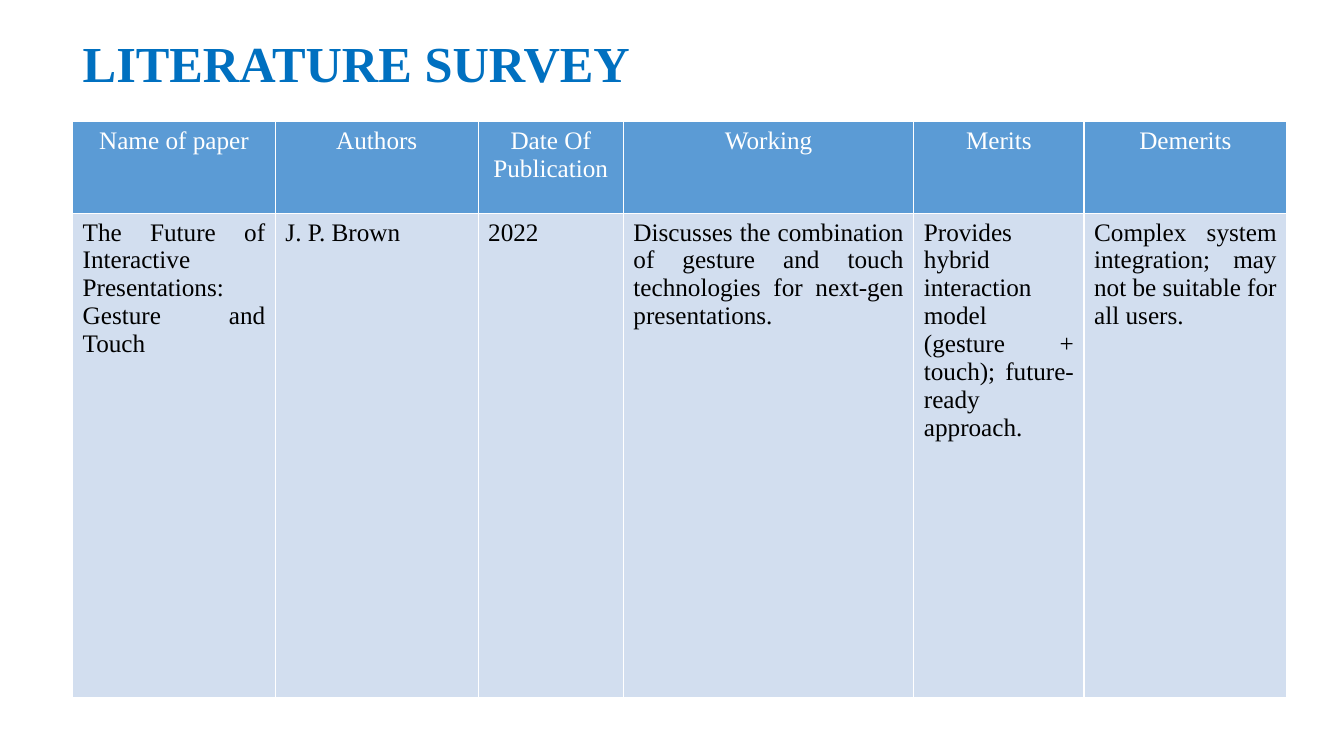
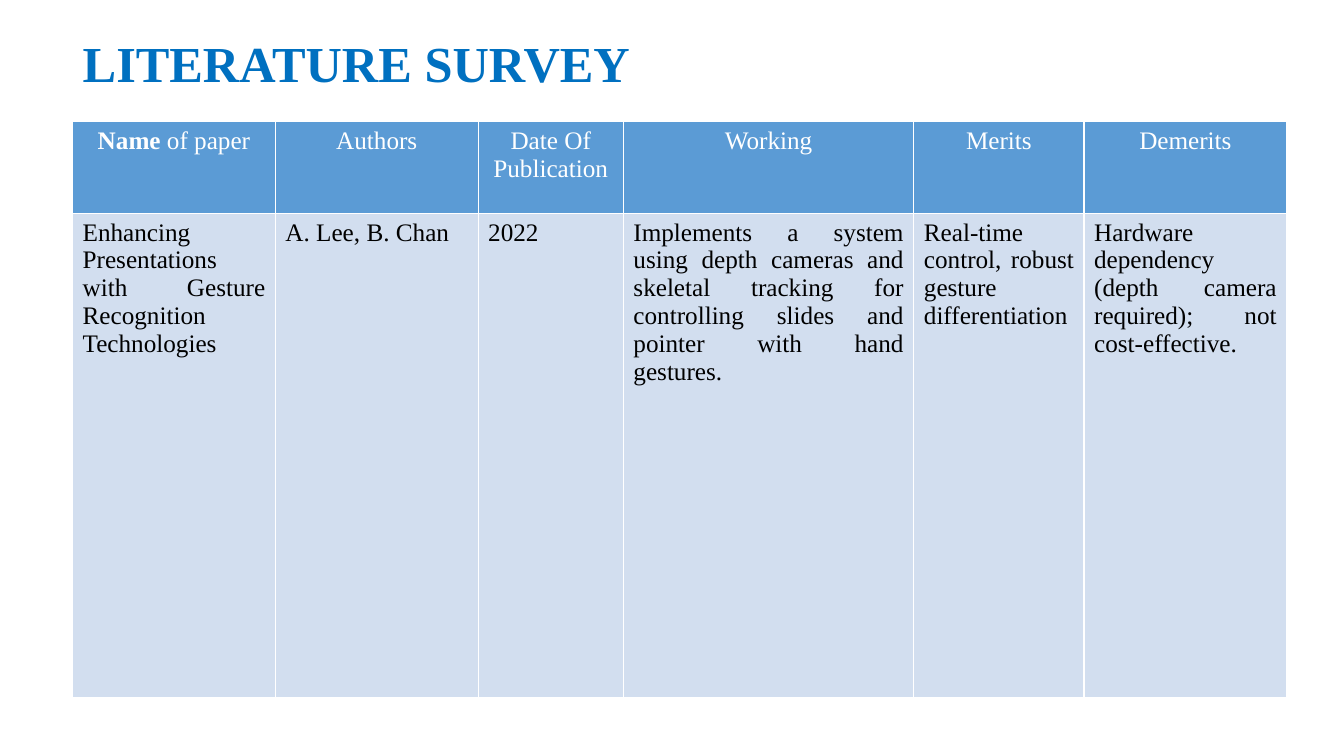
import pptx
import pptx.dml.color
import pptx.enum.text
import pptx.oxml
import pptx.oxml.ns
import pptx.util
from pptx.util import Cm

FONT = "Times New Roman"
TITLE_BLUE, HEADER_BLUE, BODY_BLUE = "0070C0", "5B9BD5", "D2DEEF"
WHITE, BLACK = "FFFFFF", "000000"
ALIGN = pptx.enum.text.PP_ALIGN

TITLE = "LITERATURE SURVEY"
HEADINGS = ["Authors", "Date Of Publication", "Working", "Merits", "Demerits"]
COLUMN_WIDTHS = [5.11, 5.11, 3.66, 7.32, 4.29, 5.11]
ROW_HEIGHTS = [2.31, 12.19]

# A cell is a string, or a list of (text, bold) spans.
SURVEYS = [
    ("Name of paper", [
        "The Future of Interactive Presentations: Gesture and Touch",
        "J. P. Brown",
        "2022",
        "Discusses the combination of gesture and touch technologies "
        "for next-gen presentations.",
        "Provides hybrid interaction model (gesture + touch); "
        "future-ready approach.",
        "Complex system integration; may not be suitable for all users.",
    ]),
    ([("Name", True), (" of paper", False)], [
        "Enhancing Presentations with Gesture Recognition Technologies",
        "A. Lee, B. Chan",
        "2022",
        "Implements a system using depth cameras and skeletal tracking "
        "for controlling slides and pointer with hand gestures.",
        "Real-time control, robust gesture differentiation",
        "Hardware dependency (depth camera required); not cost-effective.",
    ]),
]


def rgb(value):
    return pptx.dml.color.RGBColor.from_string(value)


def style_font(font, size, color, bold):
    font.name = FONT
    font.size = pptx.util.Pt(size)
    font.color.rgb = rgb(color)
    font.bold = bold


def add_title(page):
    title = page.shapes.title
    title.left, title.top = Cm(1.83), Cm(-0.18)
    title.width, title.height = Cm(29.21), Cm(3.68)
    frame = title.text_frame
    frame.text = TITLE
    frame.vertical_anchor = pptx.enum.text.MSO_ANCHOR.MIDDLE
    para = frame.paragraphs[0]
    para.alignment = ALIGN.LEFT
    para.line_spacing = 0.9
    style_font(para.runs[0].font, 36, TITLE_BLUE, True)


def add_borders(cell, color=WHITE, points=1):
    properties = cell._tc.get_or_add_tcPr()
    for side in ("lnL", "lnR", "lnT", "lnB"):
        properties.append(pptx.oxml.parse_xml(
            f'<a:{side} {pptx.oxml.ns.nsdecls("a")} w="{pptx.util.Pt(points)}">'
            f'<a:solidFill><a:srgbClr val="{color}"/></a:solidFill></a:{side}>'))


def fill_cell(cell, content, fill, color, alignment):
    add_borders(cell)
    cell.fill.solid()
    cell.fill.fore_color.rgb = rgb(fill)
    para = cell.text_frame.paragraphs[0]
    para.alignment = alignment
    spans = [(content, False)] if isinstance(content, str) else content
    for text, bold in spans:
        span = para.add_run()
        span.text = text
        style_font(span.font, 18, color, bold)


def add_survey_table(page, rows):
    table = page.shapes.add_table(
        len(rows), len(COLUMN_WIDTHS), Cm(1.83), Cm(3.07),
        Cm(sum(COLUMN_WIDTHS)), Cm(sum(ROW_HEIGHTS))).table
    for column, width in zip(table.columns, COLUMN_WIDTHS):
        column.width = Cm(width)
    looks = [(HEADER_BLUE, WHITE, ALIGN.CENTER), (BODY_BLUE, BLACK, ALIGN.JUSTIFY)]
    for row, height, contents, look in zip(table.rows, ROW_HEIGHTS, rows, looks):
        row.height = Cm(height)
        for cell, content in zip(row.cells, contents):
            fill_cell(cell, content, *look)


def main():
    deck = pptx.Presentation()
    deck.slide_width, deck.slide_height = Cm(33.87), Cm(19.05)
    title_only = deck.slide_layouts[5]
    for first_heading, paper in SURVEYS:
        page = deck.slides.add_slide(title_only)
        add_title(page)
        add_survey_table(page, [[first_heading, *HEADINGS], paper])
    deck.save("out.pptx")


if __name__ == "__main__":
    main()
